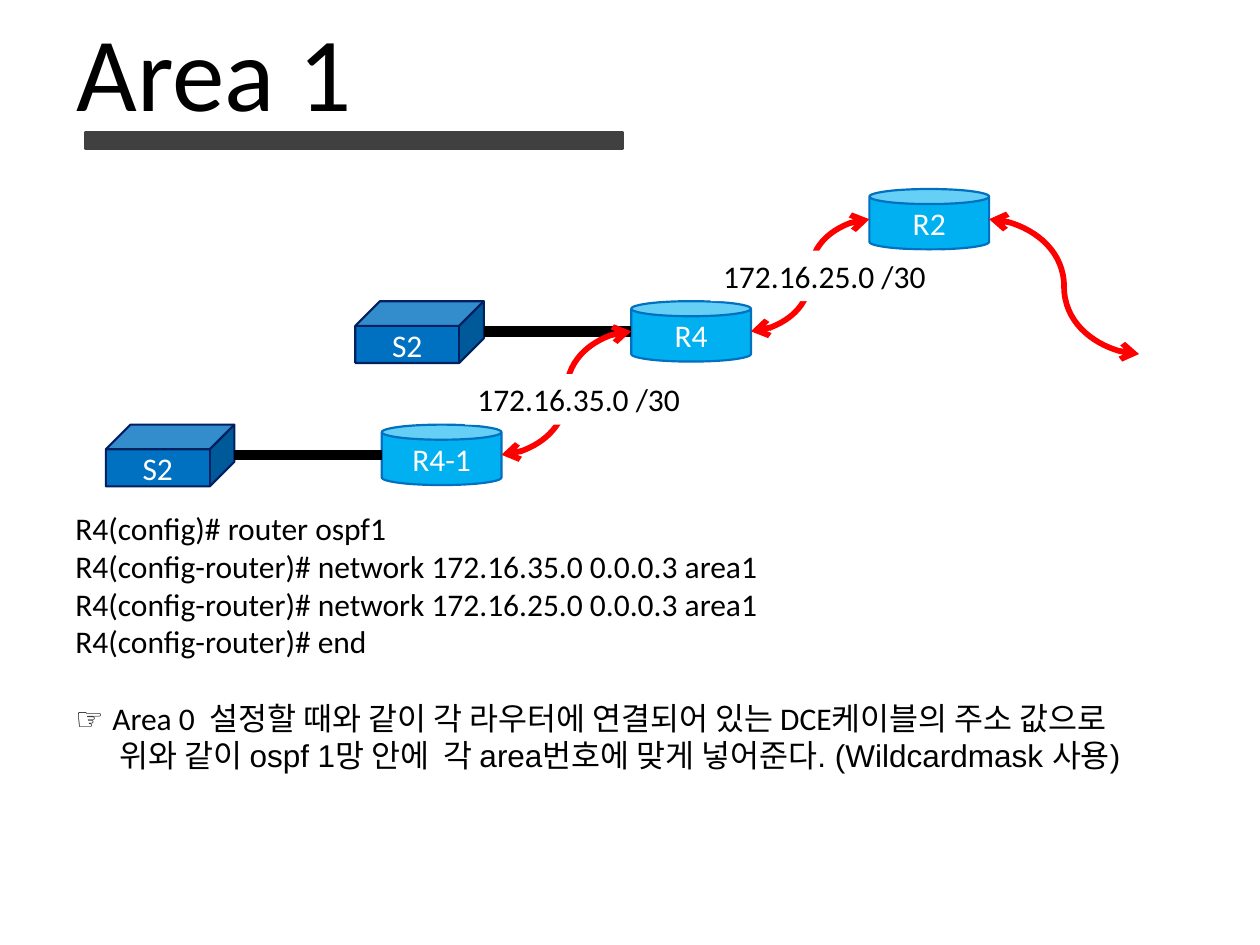
from lxml.etree import SubElement
from pptx import Presentation
from pptx.dml.color import RGBColor
from pptx.enum.shapes import MSO_CONNECTOR as LINK, MSO_SHAPE as SHAPE
from pptx.enum.text import MSO_ANCHOR as ANCHOR, MSO_AUTO_SIZE as FIT, PP_ALIGN as ALIGN
from pptx.oxml.ns import qn
from pptx.util import Inches, Pt

HUES = {"black": "000000", "white": "FFFFFF", "bar": "404040", "sky": "00B0F0",
        "blue": "0070C0", "navy": "002060", "red": "FF0000"}
CAN = (0.95, 0.48)
CUBE = (1.02, 0.49)


def hue(name):
    """Return the named colour."""
    return RGBColor.from_string(HUES[name])


def style(para, size, color="black", face="Calibri"):
    """Format every run of a paragraph."""
    for run in para.runs:
        run.font.size, run.font.name = Pt(size), face
        run.font.color.rgb = hue(color)


def add_form(slide, kind, box, fill, edge=None):
    """Add a flat preset shape."""
    form = slide.shapes.add_shape(kind, *map(Inches, box))
    form.shadow.inherit = False
    form.fill.solid()
    form.fill.fore_color.rgb = hue(fill)
    if edge:
        form.line.color.rgb, form.line.width = hue(edge), Pt(1.25)
    else:
        form.line.fill.background()
    return form


def add_node(slide, kind, box, name, fill, edge):
    """Add a named network device."""
    node = add_form(slide, kind, box, fill, edge)
    if kind == SHAPE.CUBE:
        node.adjustments[0] = 0.4
    frame = node.text_frame
    frame.text, frame.vertical_anchor = name, ANCHOR.MIDDLE
    frame.paragraphs[0].alignment = ALIGN.CENTER
    style(frame.paragraphs[0], 18, "white")


def add_link(slide, kind, start, end, color, width, heads=False):
    """Add a connector, with arrows at both ends if asked."""
    link = slide.shapes.add_connector(kind, *map(Inches, (*start, *end)))
    link.line.color.rgb, link.line.width = hue(color), Pt(width)
    if heads:
        for tag in ("a:headEnd", "a:tailEnd"):
            SubElement(link.line._get_or_add_ln(), qn(tag), type="arrow")
    SubElement(link._element.spPr, qn("a:effectLst"))


def add_label(slide, box, text):
    """Add an address on a white plate."""
    frame = add_form(slide, SHAPE.RECTANGLE, box, "white").text_frame
    frame.text, frame.word_wrap = text, False
    frame.vertical_anchor = ANCHOR.TOP
    frame.paragraphs[0].alignment = ALIGN.LEFT
    style(frame.paragraphs[0], 18)


def add_head(slide, box, text):
    """Place the title and the bar below it."""
    left, top, wide, high = box
    add_form(slide, SHAPE.MATH_MINUS, (left - 0.6, top + 0.84, 5.8, 0.55), "bar", "bar")
    title = slide.shapes.title
    title.left, title.top, title.width, title.height = map(Inches, box)
    frame = title.text_frame
    frame.text, frame.word_wrap = text, False
    frame.auto_size, frame.vertical_anchor = FIT.NONE, ANCHOR.TOP
    frame.paragraphs[0].alignment = ALIGN.LEFT
    style(frame.paragraphs[0], 60)


def add_net(slide, left, top):
    """Draw the routers, switches, links and addresses."""
    r2, r4, r41 = [(left + x, top + y) for x, y in ((6.06, 0), (4.17, 0.89), (2.19, 1.87))]
    pairs = [((left + 1.98, r4[1]), r4), ((left, r41[1]), r41)]

    def west(spot):
        """Return the left middle of a router."""
        return spot[0], spot[1] + CAN[1] / 2

    def east(spot):
        """Return the right middle of a router."""
        return spot[0] + CAN[0], spot[1] + CAN[1] / 2

    for spot, name in ((r2, "R2"), (r4, "R4"), (r41, "R4-1")):
        add_node(slide, SHAPE.CAN, (*spot, *CAN), name, "sky", "blue")
    for spot, _ in pairs:
        add_node(slide, SHAPE.CUBE, (*spot, *CUBE), "S2", "blue", "navy")
    for spot, peer in pairs:
        end = west(peer)
        add_link(slide, LINK.STRAIGHT, end, (spot[0] + CUBE[0], end[1]), "black", 6)
    exit = left + 8.2, top + 1.31
    for start, end in ((east(r4), west(r2)), (east(r41), west(r4)), (east(r2), exit)):
        add_link(slide, LINK.CURVE, start, end, "red", 3.25, True)
    add_label(slide, (left + 2.85, top + 1.47, 1.83, 0.4), "172.16.35.0 /30")
    add_label(slide, (left + 4.8, top + 0.49, 1.83, 0.4), "172.16.25.0 /30")


def add_notes(slide, box, code, note):
    """Place the router commands and the remark below them."""
    frame = slide.shapes.add_textbox(*map(Inches, box)).text_frame
    frame.text, frame.word_wrap = "\n".join(code + note), False
    for para in frame.paragraphs:
        style(para, 18)
    first, last = frame.paragraphs[-2:]
    first.space_before = Pt(22)
    mark = first.runs[0]
    mark.text, rest = mark.text[:2], mark.text[2:]
    first.add_run().text = rest
    style(first, 18)
    mark.font.name = "Arial"
    style(last, 18, face="Arial")
    last._p.get_or_add_pPr().set("marL", str(Inches(0.35)))


def main():
    """Build and save the slide."""
    deck = Presentation()
    deck.slide_width, deck.slide_height = Inches(10), Inches(7.5)
    slide = deck.slides.add_slide(deck.slide_layouts[5])
    add_head(slide, (0.51, 0, 2.41, 1.11), "Area 1")
    add_net(slide, 0.84, 1.5)
    code = ["R4(config)# router ospf1",
            "R4(config-router)# network 172.16.35.0 0.0.0.3 area1",
            "R4(config-router)# network 172.16.25.0 0.0.0.3 area1",
            "R4(config-router)# end"]
    note = ["☞ Area 0  설정할 때와 같이 각 라우터에 연결되어 있는 DCE케이블의 주소 값으로",
            "위와 같이 ospf 1망 안에  각 area번호에 맞게 넣어준다. (Wildcardmask 사용)"]
    add_notes(slide, (0.5, 3.99, 9.18, 2.52), code, note)
    deck.save("out.pptx")


if __name__ == "__main__":
    main()
